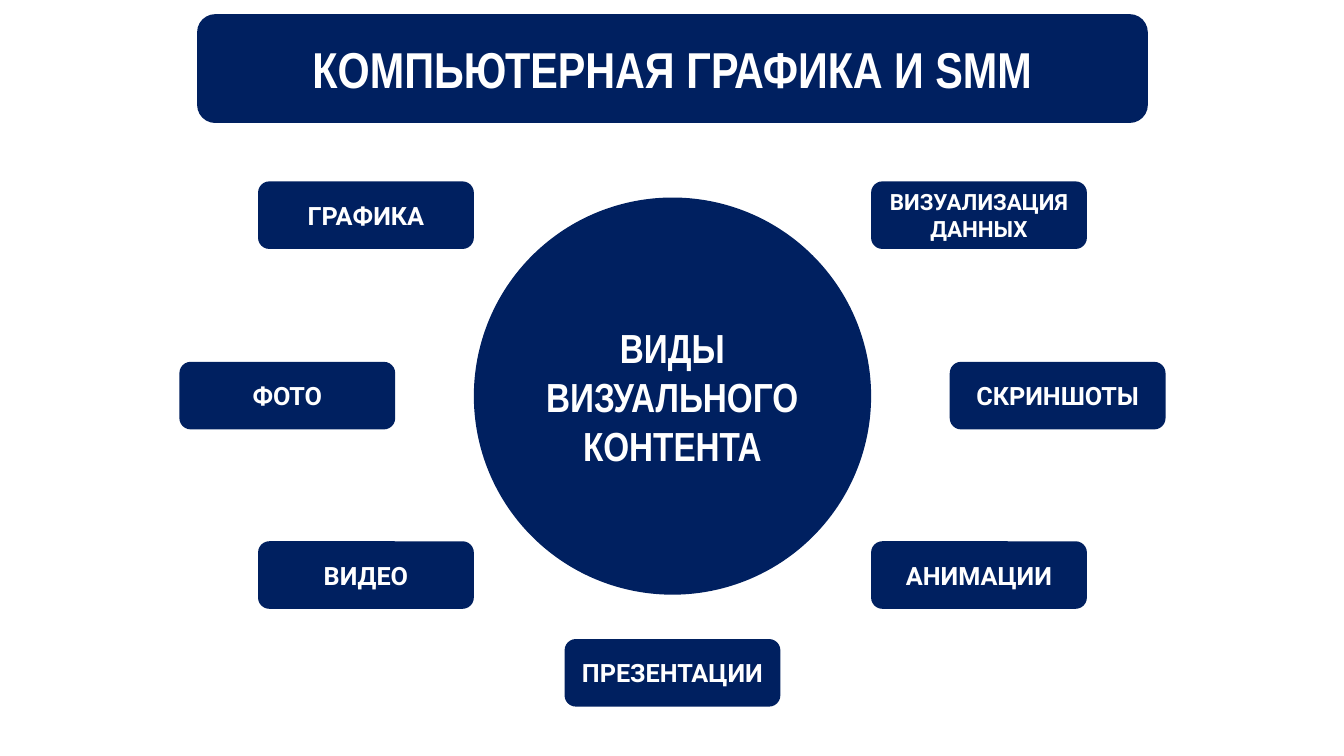
from pptx import Presentation
from pptx.dml.color import RGBColor
from pptx.enum.shapes import MSO_SHAPE
from pptx.enum.text import MSO_ANCHOR, PP_ALIGN
from pptx.util import Inches, Pt

NAVY = "002060"
WHITE = "FFFFFF"
CENTER_X = 6.67
LABEL_WIDTH, LABEL_HEIGHT = 2.14, 0.67
LABEL_ROWS = [
    (1.8, 3.04, "ГРАФИКА", 18, "ВИЗУАЛИЗАЦИЯ ДАННЫХ", 16),
    (3.59, 3.82, "ФОТО", 18, "СКРИНШОТЫ", 18),
    (5.37, 3.04, "ВИДЕО", 18, "АНИМАЦИИ", 18),
]


def color(hex_string):
    return RGBColor.from_string(hex_string)


def add_block(slide, kind, center_x, top, width, height, text, font_name, size):
    shape = slide.shapes.add_shape(
        kind, Inches(center_x - width / 2), Inches(top), Inches(width), Inches(height)
    )
    shape.shadow.inherit = False
    shape.fill.solid()
    shape.fill.fore_color.rgb = color(NAVY)
    shape.line.fill.background()
    text_frame = shape.text_frame
    text_frame.word_wrap = True
    text_frame.vertical_anchor = MSO_ANCHOR.MIDDLE
    text_frame.text = text
    for paragraph in text_frame.paragraphs:
        paragraph.alignment = PP_ALIGN.CENTER
        for run in paragraph.runs:
            run.font.name = font_name
            run.font.size = Pt(size)
            run.font.bold = True
            run.font.color.rgb = color(WHITE)


def add_label(slide, center_x, top, text, size=18):
    add_block(slide, MSO_SHAPE.ROUNDED_RECTANGLE, center_x, top,
              LABEL_WIDTH, LABEL_HEIGHT, text, "Roboto", size)


def main():
    presentation = Presentation()
    presentation.slide_width = Inches(13.33)
    presentation.slide_height = Inches(7.5)
    slide = presentation.slides.add_slide(presentation.slide_layouts[6])

    add_block(slide, MSO_SHAPE.OVAL, CENTER_X, 1.96, 3.94, 3.94,
              "ВИДЫ\nВИЗУАЛЬНОГО\nКОНТЕНТА", "Arial Narrow", 29)
    for top, offset, left_text, left_size, right_text, right_size in LABEL_ROWS:
        add_label(slide, CENTER_X - offset, top, left_text, left_size)
        add_label(slide, CENTER_X + offset, top, right_text, right_size)
    add_label(slide, CENTER_X, 6.34, "ПРЕЗЕНТАЦИИ")
    add_block(slide, MSO_SHAPE.ROUNDED_RECTANGLE, CENTER_X, 0.14, 9.43, 1.08,
              "КОМПЬЮТЕРНАЯ ГРАФИКА И SMM", "Arial Narrow", 36)

    presentation.save("out.pptx")


if __name__ == "__main__":
    main()
